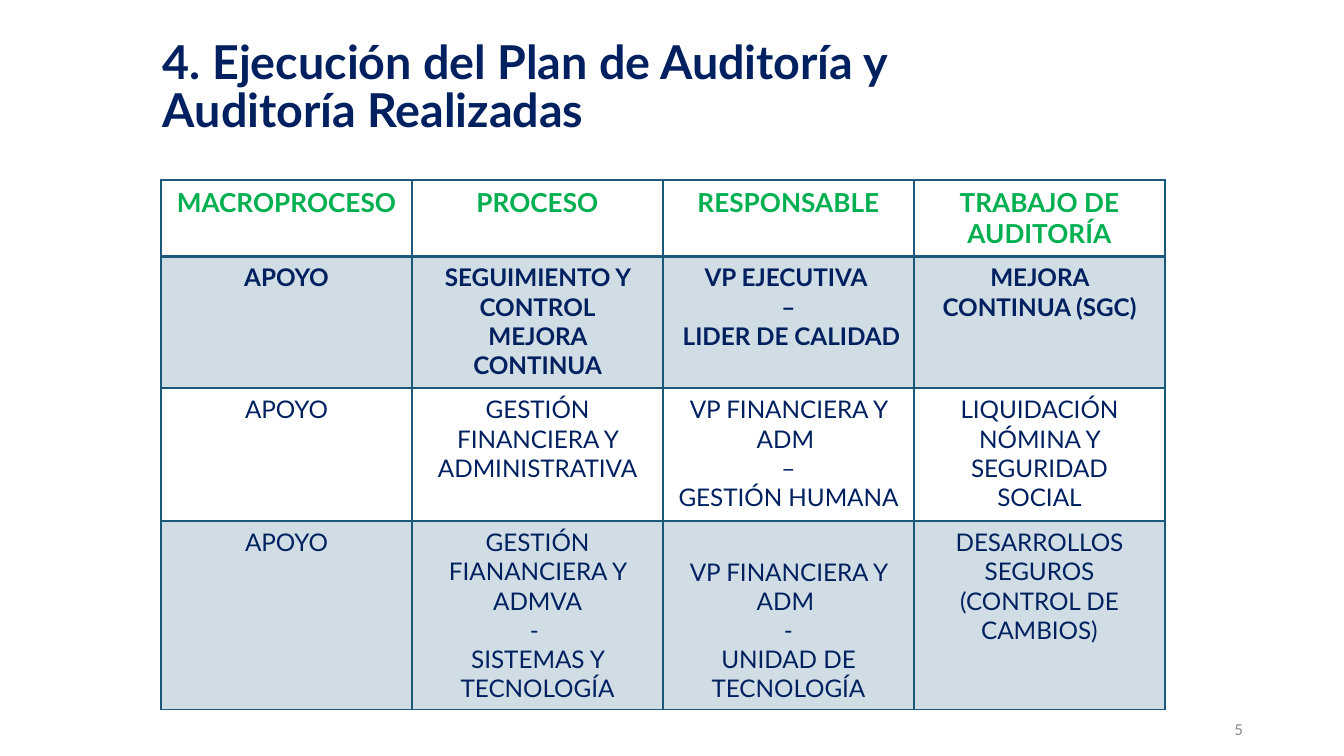
from pptx import Presentation
from pptx.dml.color import RGBColor as RGB
from pptx.enum.text import MSO_ANCHOR as ANCHOR, PP_ALIGN as ALIGN
from pptx.oxml import parse_xml
from pptx.oxml.ns import nsdecls, qn
from pptx.util import Pt
from lxml.etree import SubElement

# Content
TITLE = ["4. Ejecución del Plan de Auditoría y", "Auditoría Realizadas"]
PAGE = "5"
ROWS = [
    [["MACROPROCESO"], ["PROCESO"], ["RESPONSABLE"], ["TRABAJO DE AUDITORÍA"]],
    [["APOYO"], ["SEGUIMIENTO Y CONTROL", "MEJORA CONTINUA"],
     ["VP EJECUTIVA ", "–", " LIDER DE CALIDAD"], ["MEJORA CONTINUA (SGC)"]],
    [["APOYO"], ["GESTIÓN FINANCIERA Y ADMINISTRATIVA"],
     ["VP FINANCIERA Y ADM ", "–", "GESTIÓN HUMANA"],
     ["LIQUIDACIÓN NÓMINA Y SEGURIDAD SOCIAL"]],
    [["APOYO"], ["GESTIÓN FIANANCIERA Y ADMVA", "- ", "SISTEMAS Y TECNOLOGÍA"],
     ["VP FINANCIERA Y ADM ", "-", "UNIDAD DE TECNOLOGÍA"],
     ["DESARROLLOS SEGUROS (CONTROL DE CAMBIOS)"]],
]

# Theme: colours and type styles
THEME = {
    "border": "1B587C",
    "title": dict(size=Pt(25), bold=True, color="002060"),
    "header": dict(size=Pt(14), bold=True, color="00B050"),
    "strong": dict(size=Pt(13), bold=True, color="002060"),
    "body": dict(size=Pt(13), bold=False, color="002060"),
    "page": dict(size=Pt(8), bold=False, color="848484"),
}
ROW_STYLES = ["header", "strong", "body", "body"]

# Layout in px
PX = 914400 / 134.4
SLIDE = (1344, 756)
TITLE_BOX = (137, 47, 857, 85)
PAGE_BOX = (1200, 722, 43, 17)
TABLE_LEFT, TABLE_TOP, COL_W = 161, 180, 251
ROW_H = [76, 132, 133, 188]
TOP_MARGINS = {(3, 2): 36}  # this cell starts one line lower
TITLE_INSET = 26


def px(n):
    return round(n * PX)


def style(font, name):
    values = dict(THEME[name], name="Lato")
    font.color.rgb = RGB.from_string(values.pop("color"))
    for key, value in values.items():
        setattr(font, key, value)


def write(tf, lines, name, align):
    for i, line in enumerate(lines):
        p = tf.paragraphs[0] if i == 0 else tf.add_paragraph()
        p.alignment = align
        r = p.add_run()
        r.text = line
        style(r.font, name)


def add_text(s, box, lines, name, align, anchor, inset, wrap):
    tf = s.shapes.add_textbox(*map(px, box)).text_frame
    settings = dict(word_wrap=wrap, vertical_anchor=anchor)
    settings.update({f"margin_{side}": px(inset)
                     for side in ("left", "top", "right", "bottom")})
    for key, value in settings.items():
        setattr(tf, key, value)
    write(tf, lines, name, align)
    return tf


def decorate(cell, row):
    """Borders on all sides, and a translucent fill on odd rows."""
    pr = cell._tc.get_or_add_tcPr()
    widths = dict(L=1, R=1, T=2 if row == 1 else 1, B=2 if row == 0 else 1)
    for side, width in widths.items():
        pr.append(parse_xml(
            f'<a:ln{side} {nsdecls("a")} w="{Pt(width)}"><a:solidFill>'
            f'<a:srgbClr val="{THEME["border"]}"/></a:solidFill></a:ln{side}>'))
    if row % 2 == 0:
        cell.fill.background()
        return
    cell.fill.solid()
    cell.fill.fore_color.rgb = RGB.from_string(THEME["border"])
    color = pr.find(qn("a:solidFill")).find(qn("a:srgbClr"))
    SubElement(color, qn("a:alpha")).set("val", "20000")


def add_audit_table(s):
    n_rows, n_cols = len(ROWS), len(ROWS[0])
    box = (TABLE_LEFT, TABLE_TOP, COL_W * n_cols, sum(ROW_H))
    table = s.shapes.add_table(n_rows, n_cols, *map(px, box)).table
    table.first_row = table.horz_banding = False
    for col in table.columns:
        col.width = px(COL_W)
    for i, row in enumerate(ROWS):
        table.rows[i].height = px(ROW_H[i])
        for j, lines in enumerate(row):
            cell = table.cell(i, j)
            decorate(cell, i)
            if (i, j) in TOP_MARGINS:
                cell.margin_top = px(TOP_MARGINS[i, j])
            write(cell.text_frame, lines, ROW_STYLES[i], ALIGN.CENTER)


def main():
    prs = Presentation()
    prs.slide_width, prs.slide_height = map(px, SLIDE)
    s = prs.slides.add_slide(prs.slide_layouts[6])

    # Title, with one line break inside a single paragraph
    tf = add_text(s, TITLE_BOX, ["\v".join(TITLE)], "title", ALIGN.LEFT,
                  ANCHOR.MIDDLE, TITLE_INSET, False)
    p = tf.paragraphs[0]
    p.text = "\v".join(TITLE)
    p.line_spacing = 0.85
    for r in p.runs:
        style(r.font, "title")

    add_audit_table(s)

    # Page number
    add_text(s, PAGE_BOX, [PAGE], "page", ALIGN.RIGHT, ANCHOR.BOTTOM, 0, True)
    prs.save("out.pptx")


if __name__ == "__main__":
    main()
